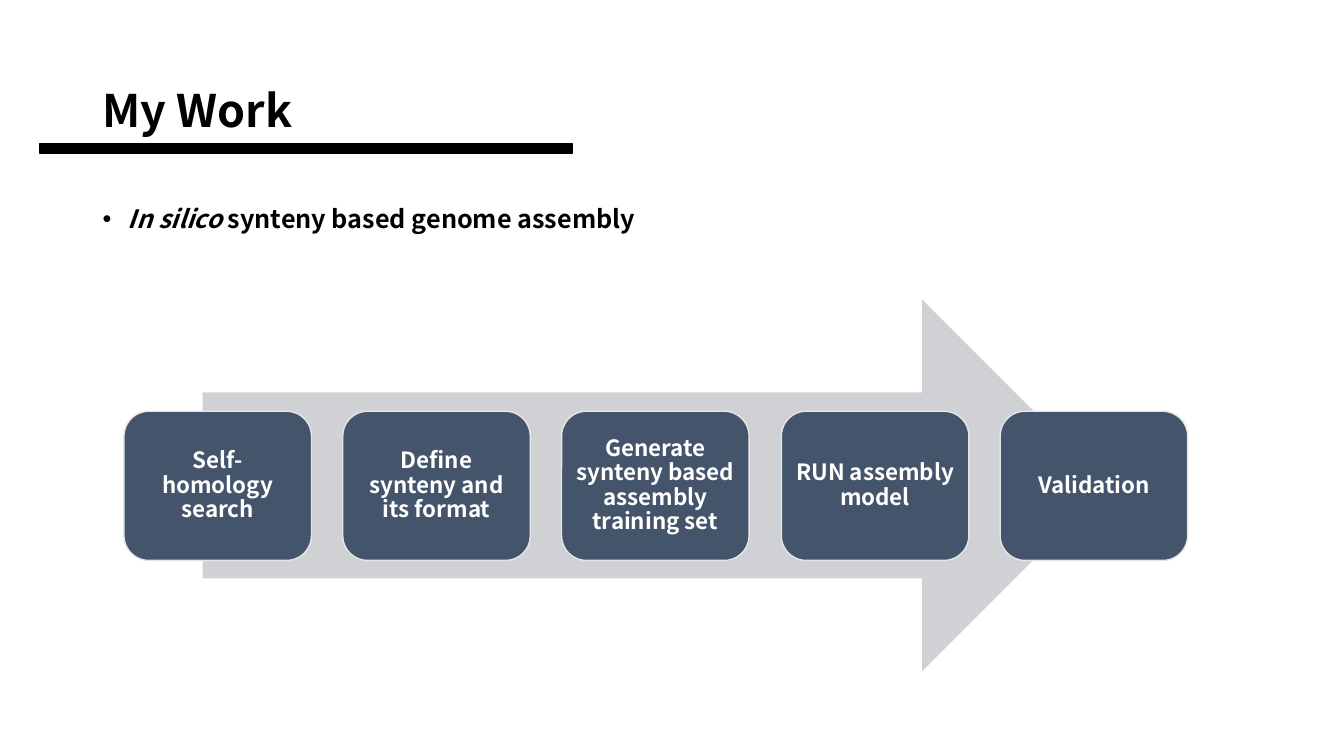
from dataclasses import dataclass

from lxml import etree
from pptx import Presentation
from pptx.dml.color import RGBColor
from pptx.enum.shapes import MSO_SHAPE
from pptx.enum.text import MSO_ANCHOR, PP_ALIGN
from pptx.oxml.ns import qn
from pptx.util import Emu, Pt

RECTANGLE = MSO_SHAPE.RECTANGLE
RIGHT_ARROW = MSO_SHAPE.RIGHT_ARROW
ROUNDED = MSO_SHAPE.ROUNDED_RECTANGLE
TOP = MSO_ANCHOR.TOP
MIDDLE = MSO_ANCHOR.MIDDLE
LEFT = PP_ALIGN.LEFT
CENTER = PP_ALIGN.CENTER

PX = 9144
BLANK_LAYOUT = 6


@dataclass(frozen=True)
class Theme:
    font: str = "Noto Sans CJK KR"
    ink: str = "000000"
    arrow: str = "CFD1D4"
    step: str = "44546A"
    step_edge: str = "E7E6E6"
    step_text: str = "FFFFFF"
    title_size: int = 32
    body_size: int = 18
    step_size: int = 16


def px(length):
    return Emu(length * PX)


class SlideBuilder:
    def __init__(self, page, theme):
        self.page = page
        self.theme = theme

    def shape(self, kind, bounds, fill, edge=None):
        shape = self.page.shapes.add_shape(kind, *map(px, bounds))
        shape.shadow.inherit = False
        shape.fill.solid()
        shape.fill.fore_color.rgb = RGBColor.from_string(fill)
        if edge:
            shape.line.color.rgb = RGBColor.from_string(edge)
            shape.line.width = Pt(1)
        else:
            shape.line.fill.background()
        return shape

    def set_text(self, box, text, size, color, anchor=MIDDLE, align=LEFT):
        frame = box.text_frame
        frame.word_wrap = True
        frame.vertical_anchor = anchor
        para = frame.paragraphs[0]
        para.text = text
        para.alignment = align
        para.line_spacing = 0.9
        para.font.name = self.theme.font
        para.font.size = Pt(size)
        para.font.bold = True
        para.font.color.rgb = RGBColor.from_string(color)
        return para

    def text(self, bounds, text, size, anchor=MIDDLE):
        box = self.page.shapes.add_textbox(*map(px, bounds))
        return self.set_text(box, text, size, self.theme.ink, anchor)

    def bullet(self, bounds, lead, rest):
        para = self.text(bounds, lead, self.theme.body_size, TOP)
        para.runs[0].font.italic = True
        para.add_run().text = rest
        para.space_before = Pt(10)
        properties = para._p.get_or_add_pPr()
        properties.set("marL", str(px(25)))
        properties.set("indent", str(px(-25)))
        marker_font = etree.Element(qn("a:buFont"), typeface="Arial")
        marker = etree.Element(qn("a:buChar"), char="•")
        position = properties.index(properties.find(qn("a:defRPr")))
        properties.insert(position, marker_font)
        properties.insert(position + 1, marker)

    def step(self, bounds, label):
        box = self.shape(ROUNDED, bounds, self.theme.step, self.theme.step_edge)
        frame = box.text_frame
        frame.margin_left = frame.margin_right = px(7)
        frame.margin_top = frame.margin_bottom = px(7)
        self.set_text(box, label, self.theme.step_size, self.theme.step_text,
                      align=CENTER)

    def process(self, left, top, width, height, last_left, labels):
        pitch = (last_left - left) / (len(labels) - 1)
        for index, label in enumerate(labels):
            step_left = left + round(index * pitch)
            self.step((step_left, top, width, height), label)


def main():
    deck = Presentation()
    deck.slide_width = px(1333)
    deck.slide_height = px(750)
    page = deck.slides.add_slide(deck.slide_layouts[BLANK_LAYOUT])
    theme = Theme()
    builder = SlideBuilder(page, theme)

    builder.shape(RECTANGLE, (39, 143, 529, 9), theme.ink, theme.ink)
    builder.text((92, 40, 1150, 145), "My Work", theme.title_size)
    builder.bullet((92, 200, 1150, 476), "In silico ",
                   "synteny based genome assembly")
    builder.shape(RIGHT_ARROW, (201, 297, 898, 369), theme.arrow)
    builder.process(123, 408, 186, 148, 992, [
        "Self-homology search",
        "Define synteny and its format",
        "Generate synteny based assembly training set",
        "RUN assembly model",
        "Validation",
    ])

    deck.save("out.pptx")


if __name__ == "__main__":
    main()
